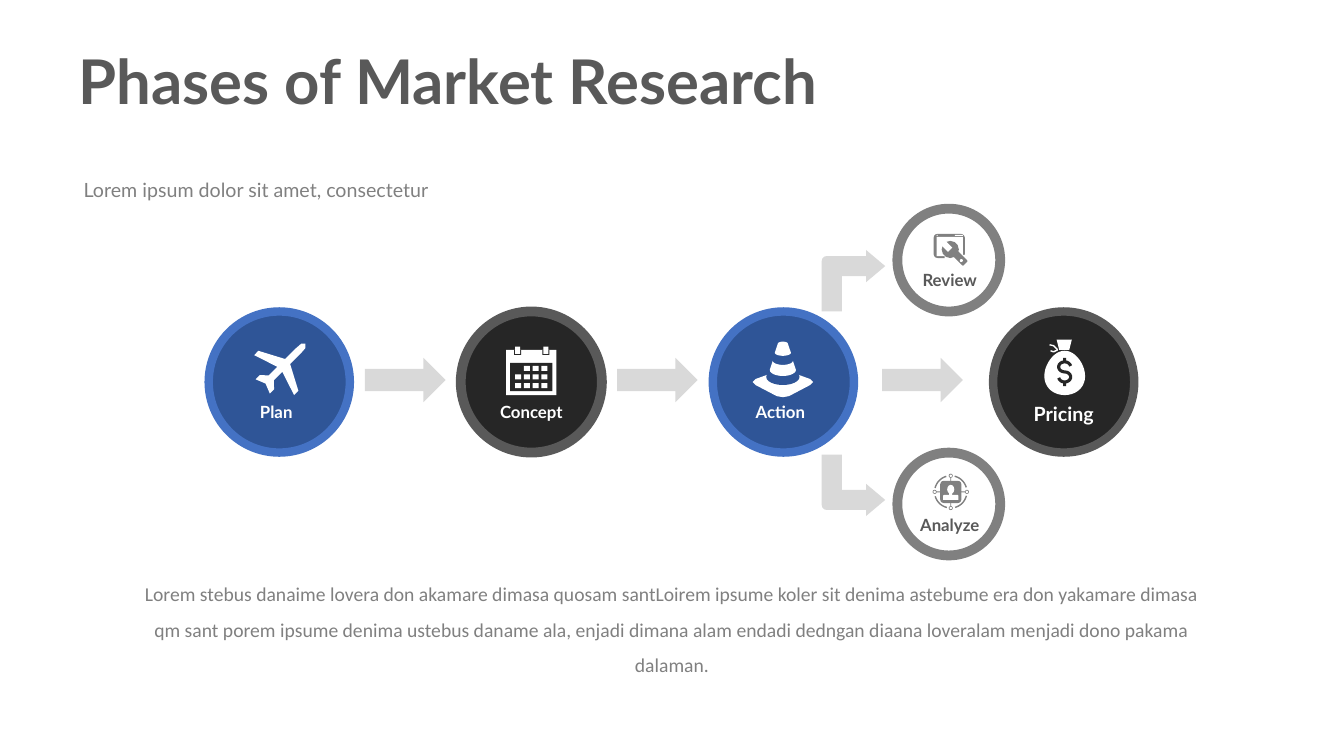
import math
import pptx
import pptx.util
import pptx.dml.color
import pptx.enum.shapes
import pptx.enum.text

Inches = pptx.util.Inches
Pt = pptx.util.Pt
Shape = pptx.enum.shapes.MSO_SHAPE
Align = pptx.enum.text.PP_ALIGN

WHITE = "FFFFFF"
BLUE = "2F5597"
SKY = "4472C4"
BLACK = "262626"
DARK = "595959"
GRAY = "808080"
PALE = "D9D9D9"

deck = pptx.Presentation()
deck.slide_width = Inches(13.33)
deck.slide_height = Inches(7.5)
slide = deck.slides.add_slide(deck.slide_layouts[6])
shapes = slide.shapes


def paint(shape, fill=None, line=None, width=1):
    shape.shadow.inherit = False
    for target, color in ((shape.fill, fill), (shape.line.fill, line)):
        if color:
            target.solid()
            target.fore_color.rgb = pptx.dml.color.RGBColor.from_string(color)
        else:
            target.background()
    if line:
        shape.line.width = Pt(width)


def write(text, box, size, color, bold=False, font="Lato", align=Align.LEFT,
          space=None, inset=None):
    frame = shapes.add_textbox(*map(Inches, box)).text_frame
    frame.word_wrap = True
    frame.auto_size = pptx.enum.text.MSO_AUTO_SIZE.SHAPE_TO_FIT_TEXT
    if inset is not None:
        frame.margin_left = frame.margin_right = Inches(inset)
        frame.margin_top = frame.margin_bottom = Inches(inset)
    para = frame.paragraphs[0]
    para.alignment = align
    if space:
        para.line_spacing = space
    run = para.add_run()
    run.text = text
    run.font.size = Pt(size)
    run.font.name = font
    run.font.bold = bold
    run.font.color.rgb = pptx.dml.color.RGBColor.from_string(color)


high, shaft, half_head, head, bend = 0.61, 0.2, 0.16, 0.19, 0.05
for top, flip in ((2.48, "0"), (4.51, "1")):
    branch = shapes.add_shape(Shape.BENT_ARROW, Inches(8.15), Inches(top), Inches(0.63), Inches(high))
    for index, length in enumerate((shaft, half_head, head, bend)):
        branch.adjustments[index] = length / high
    branch._element.spPr.xfrm.set("flipV", flip)
    paint(branch, PALE)

for left in (3.62, 6.12, 8.75):
    arrow = shapes.add_shape(Shape.RIGHT_ARROW, Inches(left), Inches(3.55), Inches(0.8), Inches(0.44))
    paint(arrow, PALE)

large, small = 1.4, 1.02
phases = [
    ("Plan", 2.07, 3.09, large, BLUE, SKY, 6, 2.07, 3.99, 12, WHITE),
    ("Concept", 4.57, 3.09, large, BLACK, DARK, 7, 4.6, 3.99, 12, WHITE),
    ("Pricing", 9.85, 3.09, large, BLACK, DARK, 6, 9.88, 3.99, 14, WHITE),
    ("Action", 7.07, 3.09, large, BLUE, SKY, 6, 7.07, 3.99, 12, WHITE),
    ("Review", 8.9, 2.07, small, None, GRAY, 7, 8.75, 2.68, 12, DARK),
    ("Analyze", 8.9, 4.49, small, None, GRAY, 7, 8.75, 5.11, 12, DARK),
]
for name, left, top, side, fill, line, width, text_x, text_y, size, color in phases:
    disc = shapes.add_shape(Shape.OVAL, Inches(left), Inches(top), Inches(side), Inches(side))
    paint(disc, fill, line, width)
    write(name, (text_x, text_y, 1.34, size / 60), size, color, bold=True,
          align=Align.CENTER, inset=0)

RECT, OVAL, ROUND = Shape.RECTANGLE, Shape.OVAL, Shape.ROUNDED_RECTANGLE
solids = []
parts = []
strokes = []

nose_x, nose_y = 3.03, 3.41
body = 0.035
nose = [(0, 0), (0.03, 0.03), (0.1, body)]
wing = [(0.25, body), (0.38, 0.28), (0.44, 0.28), (0.36, body)]
tail = [(0.48, body), (0.54, 0.1), (0.6, 0.1), (0.56, 0)]
right = nose + wing + tail
plane = right + [(along, -across) for along, across in reversed(right)]
diag = math.sqrt(0.5)
solids.append([(nose_x + (across - along) * diag, nose_y + (across + along) * diag)
               for along, across in plane])

parts += [(RECT, WHITE, 5.02, 3.47, 0.5, 0.45, 0), (RECT, BLACK, 5.06, 3.6, 0.42, 0.28, 0)]
for left in (5.1, 5.38):
    parts += [(RECT, BLACK, left, 3.47, 0.07, 0.05, 0),
              (RECT, WHITE, left + 0.01, 3.44, 0.05, 0.07, 0)]
for row in range(3):
    for col in range(4):
        if row or col:
            parts.append((RECT, WHITE, 5.11 + 0.087 * col, 3.63 + 0.085 * row, 0.06, 0.05, 0))

bag_x, bag_y = 10.56, 3.7
egg = []
for step in range(40):
    turn = step * math.tau / 40
    egg.append((bag_x + 0.2 * math.sin(turn) * (1 - 0.15 * math.cos(turn)),
                bag_y - 0.22 * math.cos(turn)))
solids.append(egg)
parts.append((Shape.TRAPEZOID, WHITE, 10.48, 3.37, 0.15, 0.1, 180))
for top in (3.55, 3.79):
    parts.append((RECT, BLACK, bag_x - 0.015, top, 0.03, 0.04, 0))
dollar = []
for mid, start, sweep in ((3.64, -10, -260), (3.74, -90, 260)):
    for step in range(14):
        turn = math.radians(start + sweep * step / 13)
        dollar.append((bag_x + 0.06 * math.cos(turn), mid + 0.05 * math.sin(turn)))
strokes.append((dollar, BLACK, 2.2))
knot = (10.49, 3.47)
for end, crest in (((10.41, 3.42), (10.45, 3.43)), ((10.42, 3.48), (10.45, 3.49))):
    strokes.append(([end, crest, knot], WHITE, 1))

cone_x = 7.765
edge = [(0, 3.72), (0.16, 3.72), (0.27, 3.76), (0.3, 3.79), (0.27, 3.82), (0.06, 3.93), (0, 3.94)]
solids.append([(cone_x + x, y) for x, y in edge] + [(cone_x - x, y) for x, y in reversed(edge)])
parts.append((OVAL, BLUE, cone_x - 0.165, 3.66, 0.33, 0.16, 0))
bands = [((0.05, 3.41, -0.02), (0.08, 3.5, 0.03)),
         ((0.1, 3.58, 0.04), (0.13, 3.67, 0.06))]
stripes = []
for upper, lower in bands:
    stripe = []
    for (half, level, sag), way in ((upper, 1), (lower, -1)):
        for step in range(13):
            turn = math.pi * step / 12
            stripe.append((cone_x - way * half * math.cos(turn), level + sag * math.sin(turn)))
    stripes.append(stripe)

parts += [
    (ROUND, GRAY, 9.26, 2.32, 0.31, 0.24, 0),
    (RECT, WHITE, 9.29, 2.35, 0.26, 0.19, 0),
    (RECT, WHITE, 9.47, 2.33, 0.08, 0.01, 0),
    (RECT, WHITE, 9.29, 2.33, 0.01, 0.01, 0),
    (RECT, WHITE, 9.37, 2.53, 0.21, 0.04, 0),
    (OVAL, GRAY, 9.34, 2.39, 0.17, 0.17, 0),
    (RECT, WHITE, 9.33, 2.41, 0.11, 0.06, 45),
    (ROUND, GRAY, 9.43, 2.52, 0.17, 0.07, 45),
    (OVAL, WHITE, 9.52, 2.57, 0.03, 0.03, 0),
]

hub_x, hub_y, orbit = 9.43, 4.88, 0.16
parts += [
    (RECT, GRAY, hub_x - orbit, hub_y - 0.005, 2 * orbit, 0.01, 0),
    (RECT, GRAY, hub_x - 0.005, hub_y - orbit, 0.01, 2 * orbit, 0),
    (ROUND, GRAY, hub_x - 0.105, hub_y - 0.11, 0.21, 0.22, 0),
    (OVAL, WHITE, hub_x - 0.035, hub_y - 0.07, 0.07, 0.09, 0),
    (RECT, WHITE, hub_x - 0.015, hub_y, 0.03, 0.05, 0),
    (Shape.ROUND_2_SAME_RECTANGLE, WHITE, hub_x - 0.075, hub_y + 0.03, 0.15, 0.05, 0),
]
for start in (0, 90, 180, 270):
    turn = math.radians(start)
    node_x, node_y = hub_x + orbit * math.cos(turn), hub_y + orbit * math.sin(turn)
    for color, radius in ((GRAY, 0.02), (WHITE, 0.012)):
        parts.append((OVAL, color, node_x - radius, node_y - radius, 2 * radius, 2 * radius, 0))
    turns = [math.radians(start + angle) for angle in range(14, 77, 6)]
    arc = [(hub_x + orbit * math.cos(turn), hub_y + orbit * math.sin(turn)) for turn in turns]
    strokes.append((arc, GRAY, 1))

layers = [("solid", solid, WHITE, 0) for solid in solids]
layers += [("part", box, color, kind) for kind, color, *box in parts]
layers += [("solid", stripe, WHITE, 0) for stripe in stripes]
layers += [("stroke", *stroke) for stroke in strokes]
for form, data, color, extra in layers:
    if form == "part":
        *box, turn = data
        part = shapes.add_shape(extra, *map(Inches, box))
        part.rotation = turn
        paint(part, color)
        continue
    spots = [(Inches(x), Inches(y)) for x, y in data]
    pen = shapes.build_freeform(*spots[0])
    pen.add_line_segments(spots[1:], close=form == "solid")
    if form == "solid":
        paint(pen.convert_to_shape(), color)
    else:
        paint(pen.convert_to_shape(), line=color, width=extra)

write("Phases of Market Research", (0.68, 0.55, 8.22, 0.66), 44, DARK, bold=True, space=Pt(40))
write("Lorem ipsum dolor sit amet, consectetur", (0.73, 1.72, 4.25, 0.57), 14, GRAY)
write("Lorem stebus danaime lovera don akamare dimasa quosam santLoirem ipsume koler sit denima "
      "astebume era don yakamare dimasa qm sant porem ipsume denima ustebus daname ala, enjadi "
      "dimana alam endadi dedngan diaana loveralam menjadi dono pakama dalaman.",
      (1.21, 5.61, 10.91, 0.81), 14, GRAY, font="Calibri", align=Align.CENTER, space=1.5)

deck.save("out.pptx")
